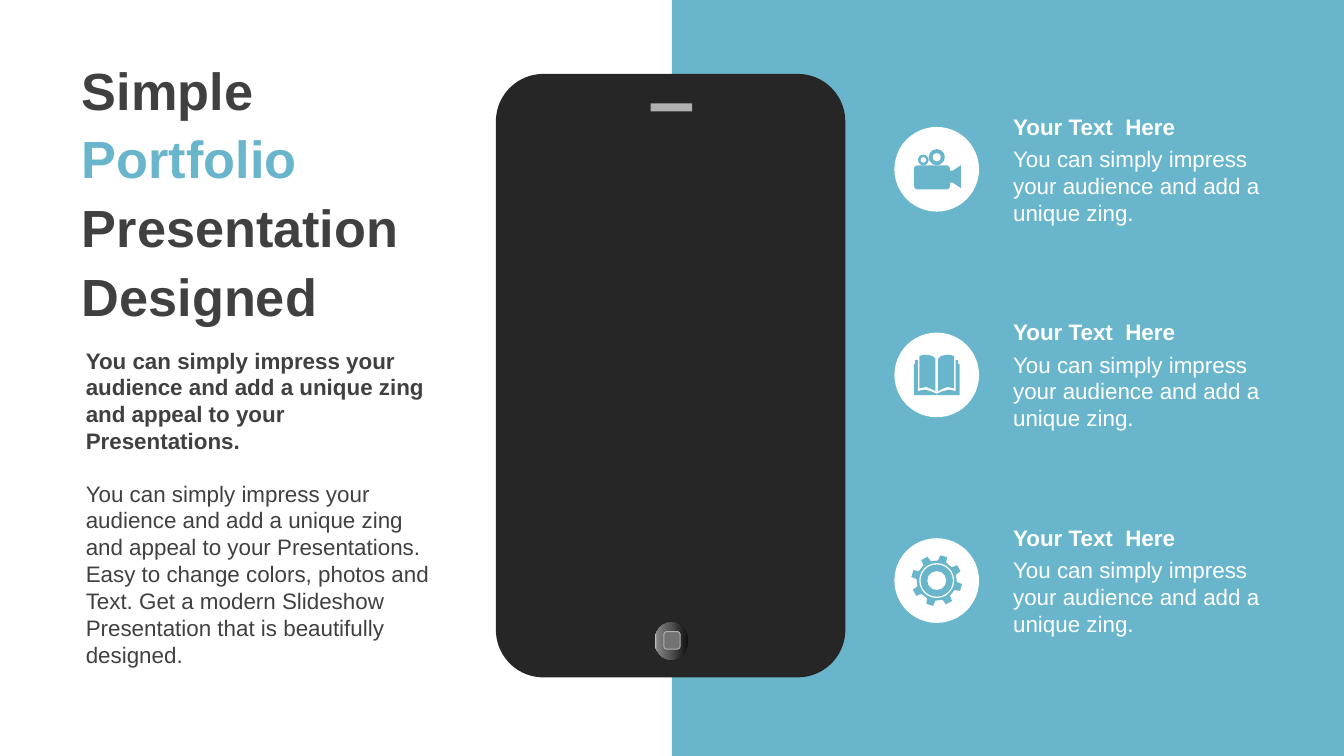
from dataclasses import dataclass
from math import cos, radians, sin

from lxml import etree
from pptx import Presentation
from pptx.dml.color import RGBColor
from pptx.enum.shapes import MSO_SHAPE as Shape
from pptx.enum.text import MSO_ANCHOR as Anchor, MSO_AUTO_SIZE as AutoSize, PP_ALIGN as Align
from pptx.oxml.ns import qn
from pptx.util import Inches, Pt


@dataclass(frozen=True)
class Theme:
    font: str = "Arial"
    accent: str = "69B6CC"
    ink: str = "404040"
    white: str = "FFFFFF"
    device: str = "262626"
    detail: str = "B0B0B0"
    button: str = "737373"
    button_gradient: tuple = ((0, "0F0F0F"), (56, "595959"), (91, "808080"), (100, "BFBFBF"))
    title_size: int = 28
    body_size: int = 12


THEME = Theme()
SLIDE_WIDTH = 10
SLIDE_HEIGHT = SLIDE_WIDTH * 9 / 16
FEATURE_TITLE = "Your Text  Here"
FEATURE_BODY = "You can simply impress your audience and add a unique zing."
INTRO = ("You can simply impress your audience and add a unique zing "
         "and appeal to your Presentations.")
DETAILS = ("Easy to change colors, photos and Text. Get a modern Slideshow "
           "Presentation that is beautifully designed.")


def set_format(target, values):
    for name, value in values.items():
        setattr(target, name, value)


def paint(shape, color):
    shape.shadow.inherit = False
    shape.fill.solid()
    shape.fill.fore_color.rgb = RGBColor.from_string(color)
    shape.line.fill.background()
    return shape


def add_block(slide, kind, box, color, radius=None):
    shape = slide.shapes.add_shape(kind, *map(Inches, box))
    if radius is not None:
        shape.adjustments[0] = radius
    return paint(shape, color)


def add_disc(slide, center_x, center_y, radius, color):
    box = (center_x - radius, center_y - radius, 2 * radius, 2 * radius)
    return add_block(slide, Shape.OVAL, box, color)


def add_ring(slide, center_x, center_y, outer, inner):
    add_disc(slide, center_x, center_y, outer, THEME.accent)
    add_disc(slide, center_x, center_y, inner, THEME.white)


def add_outline(slide, center_x, center_y, points, color):
    corners = [(Inches(center_x + x), Inches(center_y + y)) for x, y in points]
    builder = slide.shapes.build_freeform(*corners[0], scale=1.0)
    builder.add_line_segments(corners[1:], close=True)
    return paint(builder.convert_to_shape(), color)


def add_run(paragraph, text, size, color, bold=False):
    run = paragraph.add_run()
    run.text = text
    set_format(run.font, {"name": THEME.font, "size": Pt(size), "bold": bold})
    run.font.color.rgb = RGBColor.from_string(color)


def add_text(slide, box, texts, color, bold=False):
    frame = slide.shapes.add_textbox(*map(Inches, box)).text_frame
    set_format(frame, {"word_wrap": True, "auto_size": AutoSize.SHAPE_TO_FIT_TEXT})
    for index, text in enumerate(texts):
        paragraph = frame.add_paragraph() if index else frame.paragraphs[0]
        add_run(paragraph, text, THEME.body_size, color, bold)


def add_title(slide, box):
    title = slide.shapes.title
    set_format(title, dict(zip(("left", "top", "width", "height"), map(Inches, box))))
    frame = title.text_frame
    set_format(frame, {"word_wrap": True, "auto_size": AutoSize.NONE,
                       "vertical_anchor": Anchor.MIDDLE})
    paragraph = frame.paragraphs[0]
    set_format(paragraph, {"alignment": Align.LEFT, "line_spacing": 1.1,
                           "space_before": Pt(5.6)})
    for text, color in (("Simple ", THEME.ink), ("Portfolio ", THEME.accent),
                        ("Presentation Designed", THEME.ink)):
        add_run(paragraph, text, THEME.title_size, color, bold=True)


def add_introduction(slide, box):
    left, top, width, height = box
    add_title(slide, (left, top, width, 2.08))
    add_text(slide, (left + 0.03, top + 2.16, 2.8, 0.91), [INTRO], THEME.ink, bold=True)
    add_text(slide, (left + 0.03, top + 3.15, width, height - 3.15),
             [INTRO, DETAILS], THEME.ink)


def add_phone(slide, box):
    left, top, width, height = box
    middle = left + width / 2
    add_block(slide, Shape.ROUNDED_RECTANGLE, box, THEME.device, 0.136)
    add_block(slide, Shape.RECTANGLE, (middle - 0.15, top + 0.22, 0.31, 0.06), THEME.detail)
    button_y = top + height - 0.27
    button = add_block(slide, Shape.OVAL, (middle - 0.12, button_y - 0.14, 0.25, 0.28),
                       THEME.device)
    button.fill.gradient()
    button.fill.gradient_angle = 180
    stops = button._element.spPr.find(".//" + qn("a:gsLst"))
    for stop in list(stops):
        stops.remove(stop)
    for position, color in THEME.button_gradient:
        stop = etree.SubElement(stops, qn("a:gs"), pos=str(position * 1000))
        etree.SubElement(stop, qn("a:srgbClr"), val=color)
    key = add_block(slide, Shape.ROUNDED_RECTANGLE,
                    (middle - 0.05, button_y - 0.07, 0.12, 0.13), THEME.button)
    key.line.color.rgb = RGBColor.from_string(THEME.detail)
    key.line.width = Pt(0.5)


def add_camera(slide, x, y):
    add_ring(slide, x, y - 0.09, 0.06, 0.03)
    add_ring(slide, x - 0.1, y - 0.07, 0.04, 0.02)
    add_block(slide, Shape.ROUNDED_RECTANGLE, (x - 0.17, y - 0.03, 0.27, 0.18),
              THEME.accent, 0.16)
    lens = [(0.09, 0.01), (0.12, 0.01), (0.18, -0.03), (0.18, 0.14), (0.12, 0.1), (0.09, 0.1)]
    add_outline(slide, x, y, lens, THEME.accent)


def add_book(slide, x, y):
    page = [(0.13, -0.14), (0.1, -0.15), (0.07, -0.15), (0.03, -0.14), (0.01, -0.12),
            (0.01, 0.12), (0.05, 0.1), (0.08, 0.09), (0.13, 0.1)]
    cover = [(0.17, -0.08), (0.16, -0.08), (0.16, -0.11), (0.14, -0.11), (0.14, 0.12),
             (0.09, 0.11), (0.05, 0.12), (0, 0.14), (0, 0.15), (0.17, 0.15)]
    for side in (-1, 1):
        for points in (page, cover):
            add_outline(slide, x, y, [(side * px, py) for px, py in points], THEME.accent)


def add_gear(slide, x, y):
    corners = ((-12, 0.15), (-8, 0.19), (8, 0.19), (12, 0.15))
    rim = [(radius * cos(radians(16 + 45 * tooth + turn)),
            radius * sin(radians(16 + 45 * tooth + turn)))
           for tooth in range(8) for turn, radius in corners]
    add_outline(slide, x, y, rim, THEME.accent)
    add_disc(slide, x, y, 0.13, THEME.white)
    add_ring(slide, x, y, 0.12, 0.07)


def add_feature(slide, box, add_icon):
    left, top, width, height = box
    center_x, center_y = left + 0.32, top + 0.47
    add_disc(slide, center_x, center_y, 0.315, THEME.white)
    add_icon(slide, center_x, center_y)
    text_left, text_width = left + 0.79, width - 0.79
    add_text(slide, (text_left, top, text_width, 0.3), [FEATURE_TITLE], THEME.white, bold=True)
    add_text(slide, (text_left, top + 0.24, text_width, height - 0.24),
             [FEATURE_BODY], THEME.white)


def main():
    presentation = Presentation()
    set_format(presentation, {"slide_width": Inches(SLIDE_WIDTH),
                              "slide_height": Inches(SLIDE_HEIGHT)})
    slide = presentation.slides.add_slide(presentation.slide_layouts[5])
    half = SLIDE_WIDTH / 2
    add_block(slide, Shape.RECTANGLE, (half, 0, half, SLIDE_HEIGHT), THEME.accent)
    add_phone(slide, (3.69, 0.55, 2.6, 4.49))
    add_introduction(slide, (0.51, 0.37, 2.83, 4.66))
    for row, add_icon in enumerate((add_camera, add_book, add_gear)):
        add_feature(slide, (6.65, 0.79 + 1.53 * row, 2.89, 0.95), add_icon)
    presentation.save("out.pptx")


if __name__ == "__main__":
    main()
